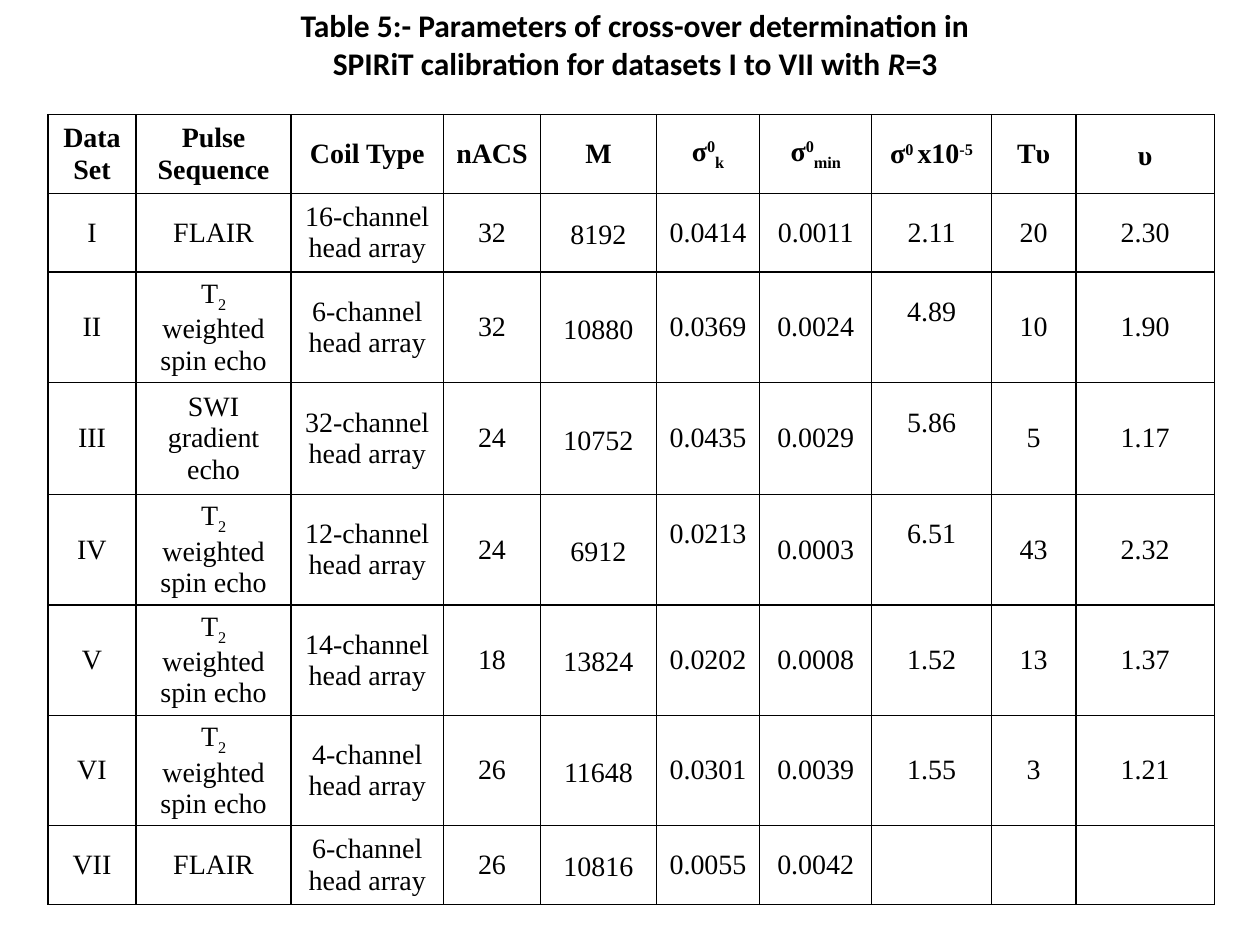
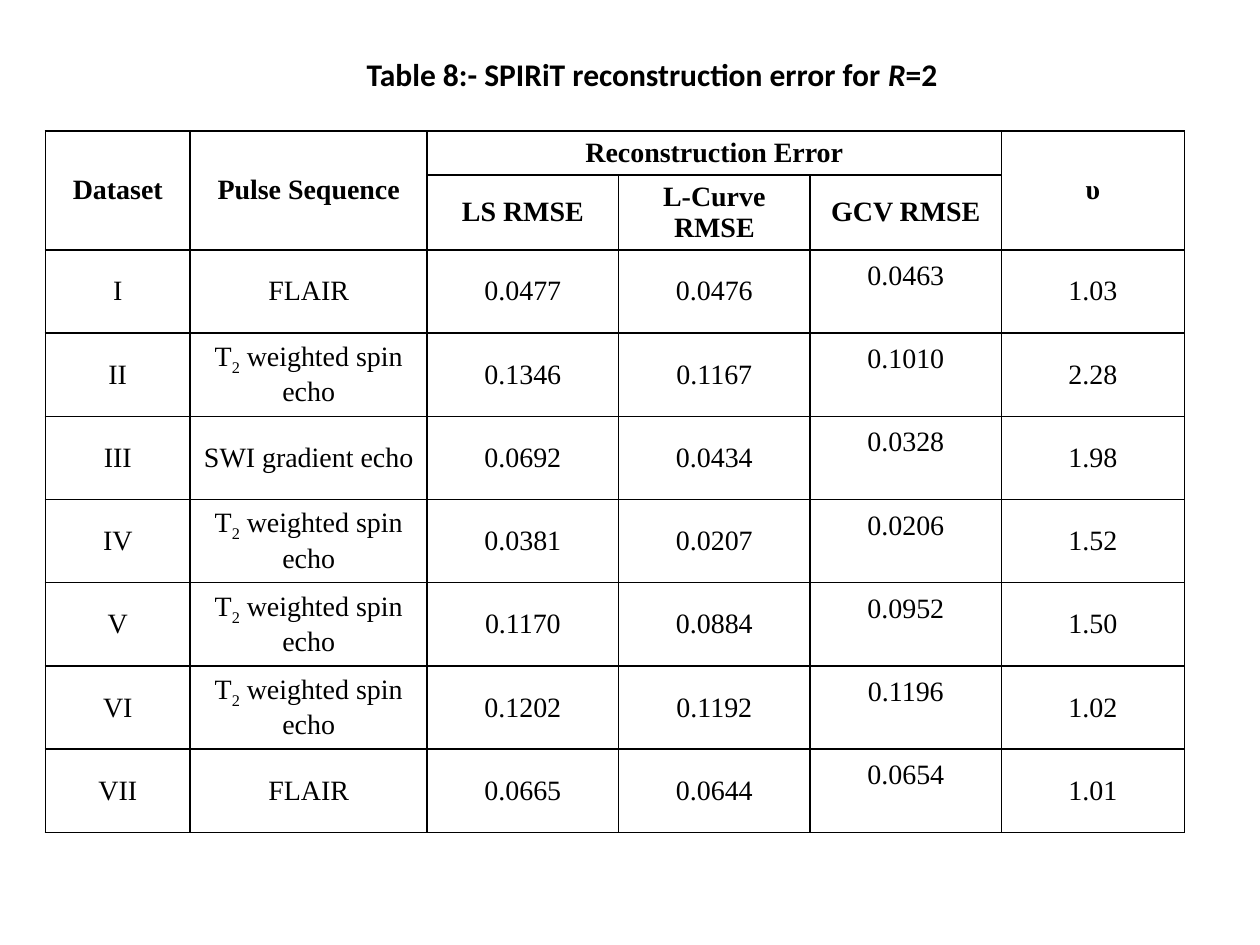
"""Build two slides of SPIRiT parameter and error tables."""
import pptx
import pptx.dml.color
import pptx.enum.text
import pptx.oxml
import pptx.oxml.ns
import pptx.util

GRID_COLUMNS, GRID_ROWS = 100, 75
INK = "000000"
TITLE_FONT, TABLE_FONT = "Calibri", "Times New Roman"
TITLE_SIZE, TABLE_SIZE, BORDER_WIDTH = 18, 16, 1
BASELINES = {"_": "-25000", "^": "30000"}
CENTER = pptx.enum.text.PP_ALIGN.CENTER
MIDDLE = pptx.enum.text.MSO_ANCHOR.MIDDLE
TOP = pptx.enum.text.MSO_ANCHOR.TOP

DATASETS = ["I", "II", "III", "IV", "V", "VI", "VII"]
SPIN_ECHO = "T|_2| weighted spin echo"
SEQUENCES = ["FLAIR", SPIN_ECHO, "SWI gradient echo",
             SPIN_ECHO, SPIN_ECHO, SPIN_ECHO, "FLAIR"]

PARAMETER_HEADER = ["Data Set", "Pulse Sequence", "Coil Type", "nACS", "M",
                    "σ|^0|_k", "σ|^0|_min", "σ|^0 |x10|^-5", "Tυ", "υ"]
CHANNELS = [16, 6, 32, 12, 14, 4, 6]
PARAMETERS = [
    ["32", "8192", "0.0414", "0.0011", "2.11", "20", "2.30"],
    ["32", "10880", "0.0369", "0.0024", "4.89", "10", "1.90"],
    ["24", "10752", "0.0435", "0.0029", "5.86", "5", "1.17"],
    ["24", "6912", "0.0213", "0.0003", "6.51", "43", "2.32"],
    ["18", "13824", "0.0202", "0.0008", "1.52", "13", "1.37"],
    ["26", "11648", "0.0301", "0.0039", "1.55", "3", "1.21"],
    ["26", "10816", "0.0055", "0.0042", "", "", ""],
]
ERROR_HEADER = [
    ["Dataset", "Pulse Sequence", "Reconstruction Error", "", "", "υ"],
    ["", "", "LS RMSE", "L-Curve RMSE", "GCV RMSE", ""],
]
ERRORS = [
    ["0.0477", "0.0476", "0.0463", "1.03"],
    ["0.1346", "0.1167", "0.1010", "2.28"],
    ["0.0692", "0.0434", "0.0328", "1.98"],
    ["0.0381", "0.0207", "0.0206", "1.52"],
    ["0.1170", "0.0884", "0.0952", "1.50"],
    ["0.1202", "0.1192", "0.1196", "1.02"],
    ["0.0665", "0.0644", "0.0654", "1.01"],
]


def grid(units):
    """Turn grid units into a length."""
    return pptx.util.Inches(units / 10)


def color(hex_code):
    """Turn a hex string into a colour."""
    return pptx.dml.color.RGBColor.from_string(hex_code)


def write(para, text, font, size, bold):
    """Fill a centred paragraph; pieces after | may start with _, ^ or * marks."""
    para.alignment = CENTER
    for piece in text.split("|"):
        mark = piece[0] if piece[0] in "_^*" else ""
        span = para.add_run()
        span.text = piece[len(mark):]
        span.font.name = font
        span.font.size = pptx.util.Pt(size)
        span.font.bold = bold
        span.font.color.rgb = color(INK)
        if mark == "*":
            span.font.italic = True
        elif mark:
            span._r.get_or_add_rPr().set("baseline", BASELINES[mark])


def add_titled_slide(deck, lines, left, top, width, height):
    """Add a title-only slide with its caption placed on the grid."""
    page = deck.slides.add_slide(deck.slide_layouts[5])
    box = page.shapes.title
    box.left, box.top = grid(left), grid(top)
    box.width, box.height = grid(width), grid(height)
    frame = box.text_frame
    frame.word_wrap = True
    frame.auto_size = pptx.enum.text.MSO_AUTO_SIZE.NONE
    frame.vertical_anchor = TOP
    for number, line in enumerate(lines):
        para = frame.add_paragraph() if number else frame.paragraphs[0]
        write(para, line, TITLE_FONT, TITLE_SIZE, True)
    return page


def outline(cell):
    """Draw a thin line on each side of a cell."""
    properties = cell._tc.get_or_add_tcPr()
    width = pptx.util.Pt(BORDER_WIDTH)
    for position, side in enumerate("LRTB"):
        line = pptx.oxml.parse_xml(
            f'<a:ln{side} {pptx.oxml.ns.nsdecls("a")} w="{width}">'
            f'<a:solidFill><a:srgbClr val="{INK}"/></a:solidFill></a:ln{side}>')
        properties.insert(position, line)


def add_table(page, left, top, widths, heights, rows, header_rows):
    """Add a plain ruled table with bold header rows."""
    frame = page.shapes.add_table(
        len(rows), len(widths), grid(left), grid(top),
        grid(sum(widths)), grid(sum(heights)))
    table = frame.table
    table.first_row = table.horz_banding = False
    for column, width in zip(table.columns, widths):
        column.width = grid(width)
    for row, height in zip(table.rows, heights):
        row.height = grid(height)
    for row_number, texts in enumerate(rows):
        for column_number, text in enumerate(texts):
            cell = table.cell(row_number, column_number)
            cell.fill.background()
            outline(cell)
            cell.vertical_anchor = MIDDLE
            if text:
                write(cell.text_frame.paragraphs[0], text, TABLE_FONT,
                      TABLE_SIZE, row_number < header_rows)
    return table


def raise_text(table, row, column):
    """Lift a cell's text by half a line."""
    table.cell(row, column).margin_bottom = grid(2.95)


def loosen_text(table, row, column):
    """Widen a cell's line spacing."""
    table.cell(row, column).text_frame.paragraphs[0].line_spacing = 1.15


def add_parameter_slide(deck):
    """Add the slide of cross-over parameters."""
    page = add_titled_slide(
        deck, ["Table 5:- Parameters of cross-over determination in",
               "SPIRiT calibration for datasets I to VII with |*R|=3"],
        21.7, 0, 57.4, 7.1)
    rows = [PARAMETER_HEADER] + [
        [dataset, sequence, f"{channels}-channel head array", *values]
        for dataset, sequence, channels, values
        in zip(DATASETS, SEQUENCES, CHANNELS, PARAMETERS)]
    widths = [7, 12.3, 12.1, 7.7, 9.2, 8.2, 8.9, 9.5, 6.7, 11]
    heights = [6.25, 6.25, 8.75, 8.9, 8.75, 8.75, 8.75, 6.25]
    table = add_table(page, 3.8, 9.1, widths, heights, rows, 1)
    loosen_text(table, 0, 9)
    for row in range(1, len(rows)):
        cell = table.cell(row, 4)
        cell.margin_left = cell.margin_right = grid(0.7)
        cell.margin_top = cell.margin_bottom = 0
        loosen_text(table, row, 4)
    for row, column in [(2, 7), (3, 7), (4, 7), (4, 5)]:
        raise_text(table, row, column)


def add_error_slide(deck):
    """Add the slide of reconstruction errors."""
    page = add_titled_slide(
        deck, ["Table 8:- SPIRiT reconstruction error for |*R|=2"],
        22, 3.9, 59.5, 4)
    rows = ERROR_HEADER + [
        [dataset, sequence, *values]
        for dataset, sequence, values in zip(DATASETS, SEQUENCES, ERRORS)]
    widths = [11.5, 18.8, 15.2, 15.2, 15.2, 14.5]
    heights = [3.45, 5.95] + [6.61] * len(DATASETS)
    table = add_table(page, 3.6, 10.4, widths, heights, rows, 2)
    for column in (0, 1, 5):
        table.cell(0, column).merge(table.cell(1, column))
    table.cell(0, 2).merge(table.cell(0, 4))
    for row in range(2, len(rows)):
        raise_text(table, row, 4)


def main():
    """Build and save the deck."""
    deck = pptx.Presentation()
    deck.slide_width, deck.slide_height = grid(GRID_COLUMNS), grid(GRID_ROWS)
    add_parameter_slide(deck)
    add_error_slide(deck)
    deck.save("out.pptx")


if __name__ == "__main__":
    main()
